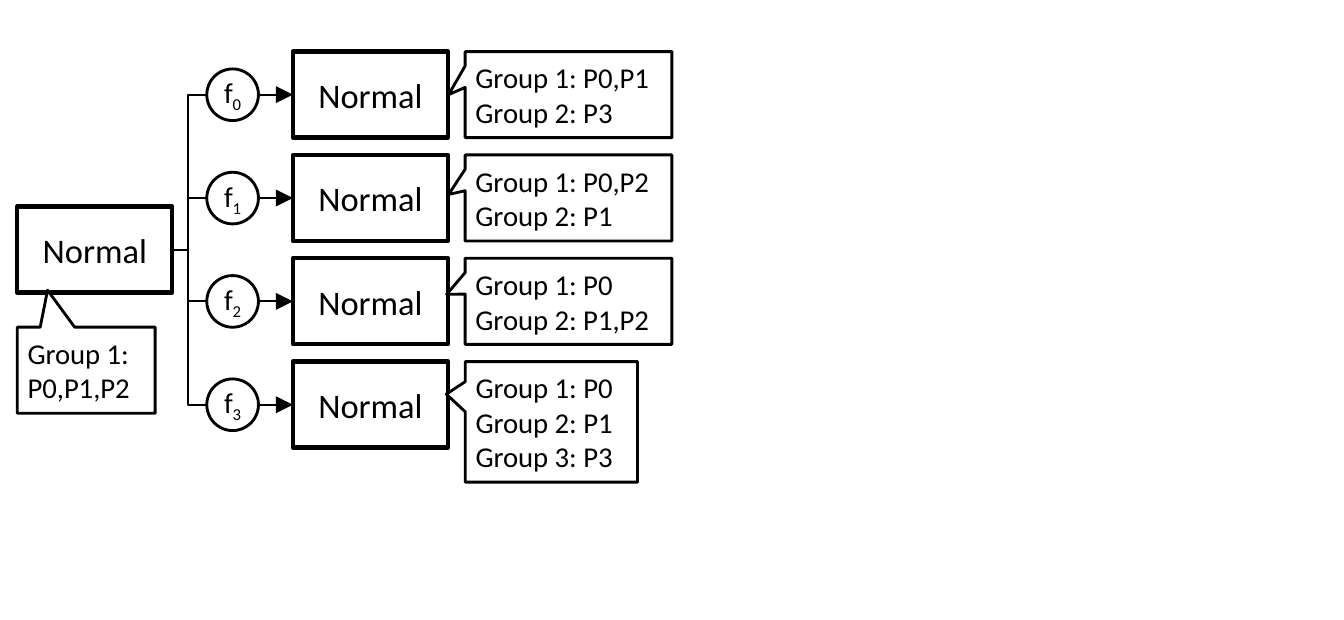
import pptx
import pptx.util
from lxml import etree
from pptx.dml.color import RGBColor
from pptx.enum.shapes import MSO_CONNECTOR, MSO_SHAPE
from pptx.enum.text import MSO_ANCHOR, PP_ALIGN
from pptx.oxml.ns import qn

COLORS = {"ink": "000000", "paper": "FFFFFF"}
GRID = 12  # grid cells per inch


class Diagram:
    """Style and current slide; lengths are grid columns and rows."""

    font = "Calibri"

    def __init__(self, slide):
        self.s = slide

    def cells(self, *values):
        return [pptx.util.Inches(v / GRID) for v in values]

    def color(self, name):
        return RGBColor.from_string(COLORS[name])

    def outline(self, line, width):
        line.color.rgb = self.color("ink")
        line.width = pptx.util.Pt(width)

    def shape(self, kind, at, line_width, inset=None):
        sp = self.s.shapes.add_shape(kind, *self.cells(*at))
        sp.shadow.inherit = False
        sp.fill.solid()
        sp.fill.fore_color.rgb = self.color("paper")
        self.outline(sp.line, line_width)
        tf = sp.text_frame
        tf.word_wrap = True
        tf.vertical_anchor = MSO_ANCHOR.MIDDLE
        if inset is not None:
            tf.margin_left = tf.margin_right = pptx.util.Inches(inset)
            tf.margin_top = tf.margin_bottom = pptx.util.Inches(inset)
        return sp

    def run(self, p, text, size):
        r = p.add_run()
        r.text = text
        r.font.name = self.font
        r.font.size = pptx.util.Pt(size)
        r.font.color.rgb = self.color("ink")
        return r

    def box(self, col, row, text):
        sp = self.shape(MSO_SHAPE.RECTANGLE, (col, row, 9, 5), 1.5)
        p = sp.text_frame.paragraphs[0]
        p.alignment = PP_ALIGN.CENTER
        self.run(p, text, 12)

    def function(self, col, row, index):
        """Circle with the letter f and a subscript."""
        sp = self.shape(MSO_SHAPE.OVAL, (col, row, 3, 3), 1, inset=0)
        sp.text_frame.word_wrap = False
        p = sp.text_frame.paragraphs[0]
        p.alignment = PP_ALIGN.CENTER
        self.run(p, "f", 10)
        r = self.run(p, str(index), 10)
        r._r.get_or_add_rPr().set("baseline", "-25000")

    def callout(self, at, tip, lines):
        """Callout whose tip is given as shares of its size from its centre."""
        sp = self.shape(MSO_SHAPE.RECTANGULAR_CALLOUT, at, 1, inset=0.05)
        sp.adjustments[0], sp.adjustments[1] = tip
        tf = sp.text_frame
        for i, line in enumerate(lines):
            p = tf.add_paragraph() if i else tf.paragraphs[0]
            p.alignment = PP_ALIGN.LEFT
            self.run(p, line, 10)

    def branch(self, start, end, bend):
        """Elbow arrow that turns at the share bend of its width."""
        cx = self.s.shapes.add_connector(
            MSO_CONNECTOR.ELBOW, *self.cells(*start, *end))
        self.outline(cx.line, 0.75)
        etree.SubElement(cx.line._get_or_add_ln(), qn("a:tailEnd"), type="triangle")
        pr = cx._element.spPr
        etree.SubElement(pr, qn("a:effectLst"))
        guides = pr.find(qn("a:prstGeom")).get_or_add_avLst()
        etree.SubElement(guides, qn("a:gd"), name="adj1",
                         fmla=f"val {round(bend * 100000)}")


def main():
    prs = pptx.Presentation()
    prs.slide_width = pptx.util.Inches(6.5)
    prs.slide_height = pptx.util.Inches(3)
    d = Diagram(prs.slides.add_slide(prs.slide_layouts[6]))

    # callout width, height, tip, groups
    results = [
        (12, 5, (-0.58, 0), ["Group 1: P0,P1", "Group 2: P3"]),
        (12, 5, (-0.58, -0.04), ["Group 1: P0,P2", "Group 2: P1"]),
        (12, 5, (-0.59, -0.08), ["Group 1: P0", "Group 2: P1,P2"]),
        (10, 7, (-0.61, -0.23), ["Group 1: P0", "Group 2: P1", "Group 3: P3"]),
    ]

    d.box(1, 12, "Normal")
    d.callout((1, 19, 8, 5), (-0.28, -0.93), ["Group 1: P0,P1,P2"])
    for i, (width, height, tip, groups) in enumerate(results):
        row = 3 + 6 * i
        d.box(17, row, "Normal")
        d.branch((10, 14.5), (17, row + 2.5), 0.13)
        d.function(12, row + 1, i)
        d.callout((27, row, width, height), tip, groups)

    prs.save("out.pptx")


if __name__ == "__main__":
    main()
